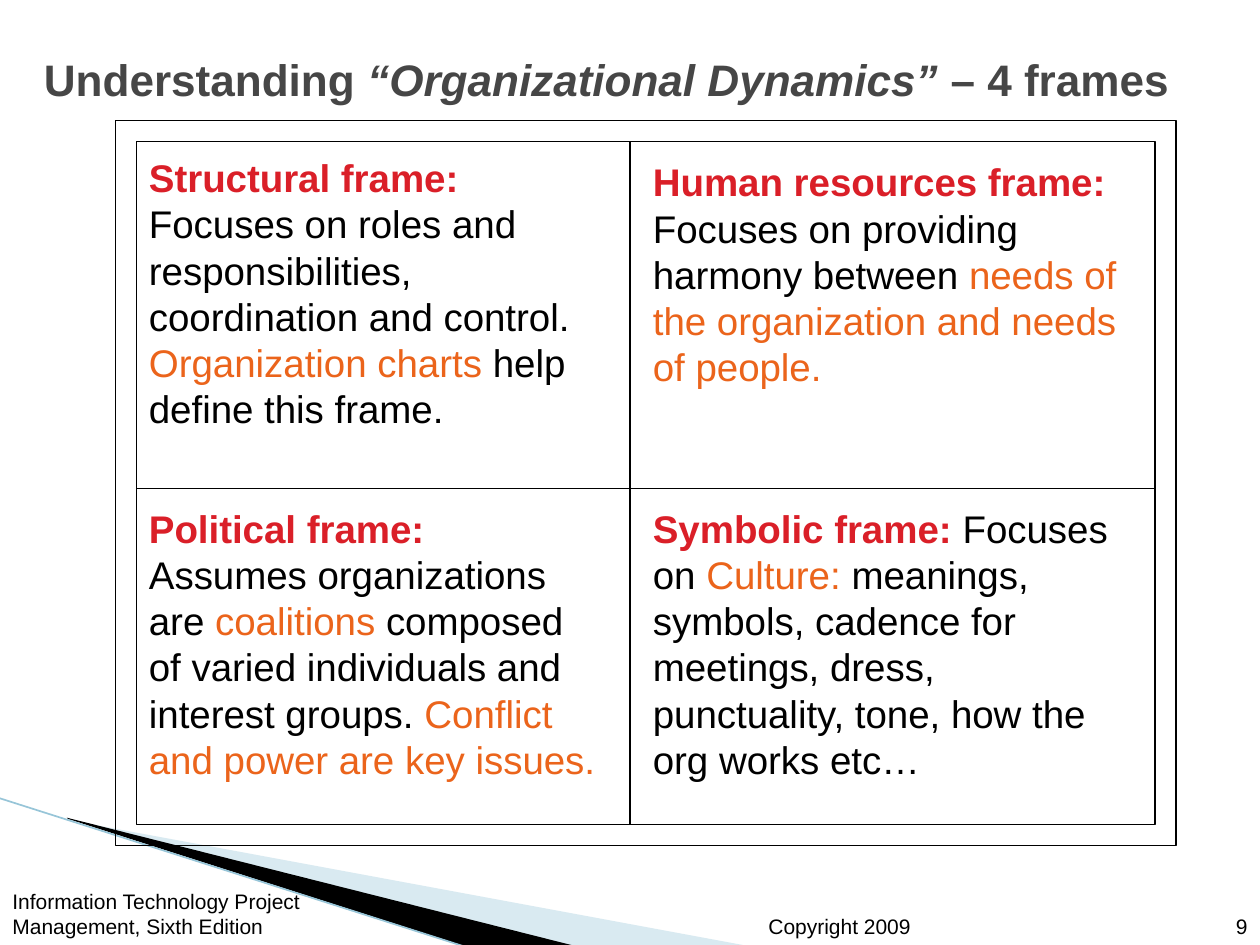
from pptx import Presentation
from pptx.dml.color import RGBColor
from pptx.enum.shapes import MSO_CONNECTOR, MSO_SHAPE
from pptx.enum.text import MSO_ANCHOR, PP_ALIGN
from pptx.oxml.ns import qn
from pptx.util import Pt
from lxml import etree

COLORS = {
    "black": "000000", "title": "464646", "heading": "DA1F28",
    "accent": "EB641B", "wedge": "A0CBDC", "edge": "97C5D8",
}
FONT = "Arial"

# Each frame: heading, whether the body starts a new line, (text, color) runs
FRAMES = [
    [("Structural frame:", True, [
        ("Focuses on roles and responsibilities, coordination and control. ", "black"),
        ("Organization charts ", "accent"),
        ("help define this frame.", "black")]),
     ("Human resources frame:", True, [
         ("Focuses on providing harmony between ", "black"),
         ("needs of the organization and needs of people.", "accent")])],
    [("Political frame:", True, [
        ("Assumes organizations are ", "black"),
        ("coalitions", "accent"),
        (" composed of varied individuals and interest groups. ", "black"),
        ("Conflict and power are key issues.", "accent")]),
     ("Symbolic frame: ", False, [
         ("Focuses on ", "black"),
         ("Culture: ", "accent"),
         ("meanings, symbols, cadence for meetings, dress, punctuality, "
          "tone, how the org works etc…", "black")])],
]
# Text box offsets from the grid corner: left, top, width, height
FRAME_BOXES = [
    [(0, 3.6, 276, 167), (288, 6, 282, 140)],
    [(0, 204, 270, 194), (288, 204, 282, 167)],
]


def rgb(name):
    return RGBColor.from_string(COLORS[name])


def add_text(s, box, anchor=MSO_ANCHOR.TOP, align=PP_ALIGN.LEFT, spacing=None):
    sp = s.shapes.add_textbox(*[Pt(v) for v in box])
    tf = sp.text_frame
    tf.word_wrap = True
    tf.vertical_anchor = anchor
    p = tf.paragraphs[0]
    p.alignment = align
    if spacing:
        p.line_spacing = Pt(spacing)
    return p


def add_run(p, text, size, color, bold=False, italic=False):
    r = p.add_run()
    r.text = text
    r.font.name = FONT
    r.font.size = Pt(size)
    r.font.bold = bold
    r.font.italic = italic
    r.font.color.rgb = rgb(color)


def add_line(s, x1, y1, x2, y2, color="black", width=0.75):
    c = s.shapes.add_connector(
        MSO_CONNECTOR.STRAIGHT, Pt(x1), Pt(y1), Pt(x2), Pt(y2))
    c.line.color.rgb = rgb(color)
    c.line.width = Pt(width)
    etree.SubElement(c._element.spPr, qn("a:effectLst"))


def add_outline(s, x, y, w, h):
    sp = s.shapes.add_shape(MSO_SHAPE.RECTANGLE, Pt(x), Pt(y), Pt(w), Pt(h))
    sp.shadow.inherit = False
    sp.fill.background()
    sp.line.color.rgb = rgb("black")
    sp.line.width = Pt(0.75)


def add_wedge(s, x, y, points, color, alpha=None):
    start, *rest = [(Pt(x + dx), Pt(y + dy)) for dx, dy in points]
    fb = s.shapes.build_freeform(*start)
    fb.add_line_segments(rest, close=True)
    sp = fb.convert_to_shape()
    sp.shadow.inherit = False
    sp.fill.solid()
    sp.fill.fore_color.rgb = rgb(color)
    sp.line.fill.background()
    if alpha:
        clr = sp._element.spPr.find(qn("a:solidFill"))[0]
        etree.SubElement(clr, qn("a:alpha")).set("val", str(alpha * 1000))


def add_corner(s, x, y):
    """Swoosh in the lower left corner."""
    add_wedge(s, x, y, [(39.6, 12.7), (428.4, 84.7), (328.3, 84.7), (39.6, 12)],
              "wedge", 40)
    add_wedge(s, x, y, [(38.2, 11.3), (329, 84.7), (267.8, 85.4), (38.9, 12)],
              "black")
    add_line(s, x - 0.7, y, x + 267.1, y + 85.4, "edge", 0.95)


def add_title(s, box):
    p = add_text(s, box, MSO_ANCHOR.MIDDLE)
    add_run(p, "Understanding ", 25.2, "title", True)
    add_run(p, "“Organizational Dynamics” ", 25.2, "title", True, True)
    add_run(p, "– 4 frames", 25.2, "title", True)


def add_footer(s, x, y, w, h):
    parts = [
        (0, 204, PP_ALIGN.LEFT,
         "Information Technology Project Management, Sixth Edition"),
        (432, 126, PP_ALIGN.LEFT, "Copyright 2009"),
        (w - 44, 44, PP_ALIGN.RIGHT, "9"),
    ]
    for dx, width, align, text in parts:
        p = add_text(s, (x + dx, y, width, h), MSO_ANCHOR.BOTTOM, align, 14.4)
        add_run(p, text, 12, "black")


def add_frames(s, x, y, w, h):
    """Two by two grid of frames inside a double border."""
    margin = 12
    add_outline(s, x, y, w, h)
    add_line(s, x + 282, y, x + 282, y + h)
    add_line(s, x, y + 198, x + w, y + 198)
    for frames, boxes in zip(FRAMES, FRAME_BOXES):
        for (heading, breaks, body), (dx, dy, bw, bh) in zip(frames, boxes):
            p = add_text(s, (x + dx, y + dy, bw, bh), spacing=26.4)
            add_run(p, heading, 22, "heading", True)
            if breaks:
                p.add_line_break()
            for text, color in body:
                add_run(p, text, 22, color)
    add_outline(s, x - margin, y - margin, w + 2 * margin, h + 2 * margin)


def main():
    prs = Presentation()
    prs.slide_width, prs.slide_height = Pt(720), Pt(540)
    s = prs.slides.add_slide(prs.slide_layouts[6])
    add_corner(s, 0, 456)
    add_title(s, (18, 18, 702, 54))
    add_footer(s, 0, 511, 720, 29)
    add_frames(s, 78, 81, 582, 390)
    prs.save("out.pptx")


if __name__ == "__main__":
    main()
